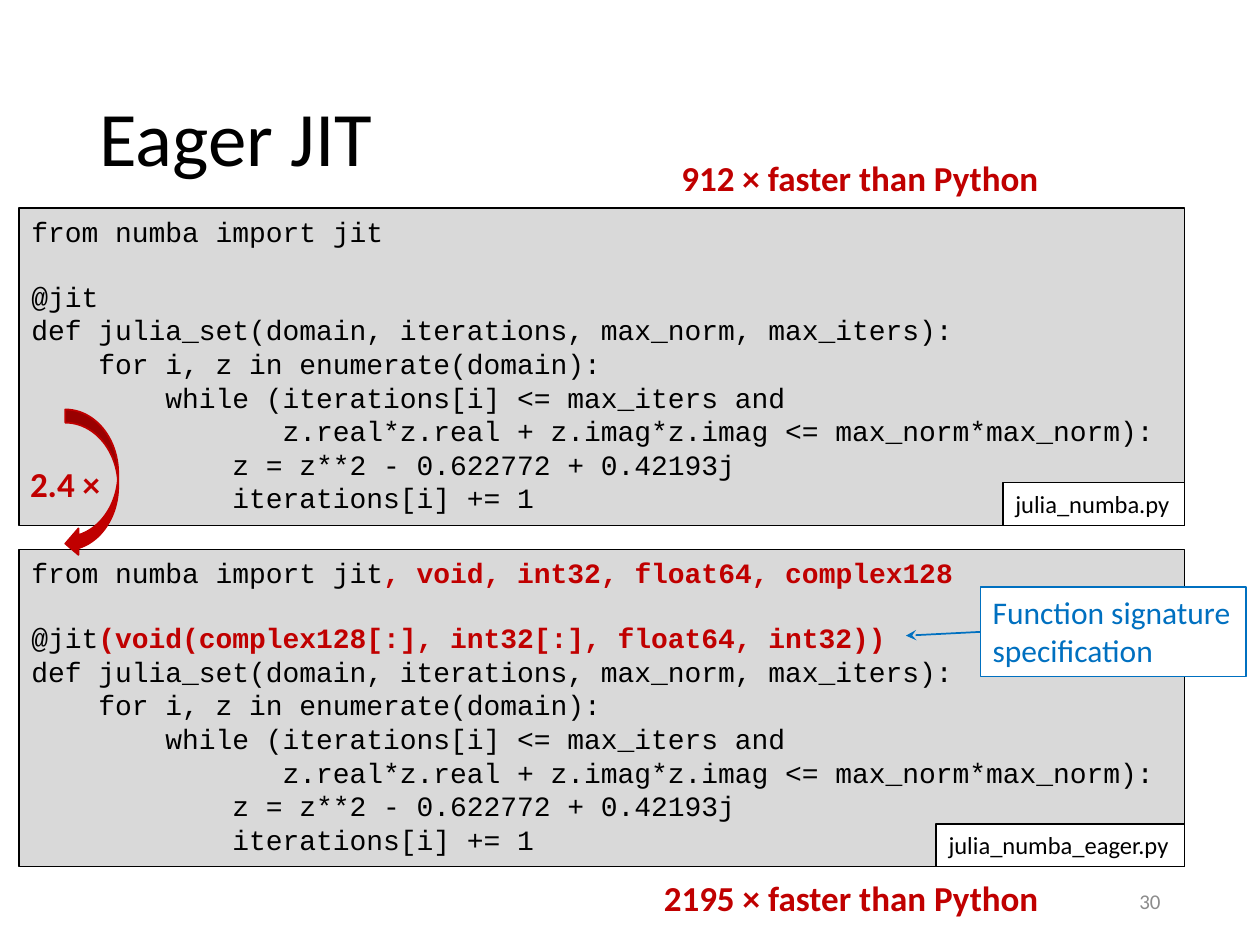
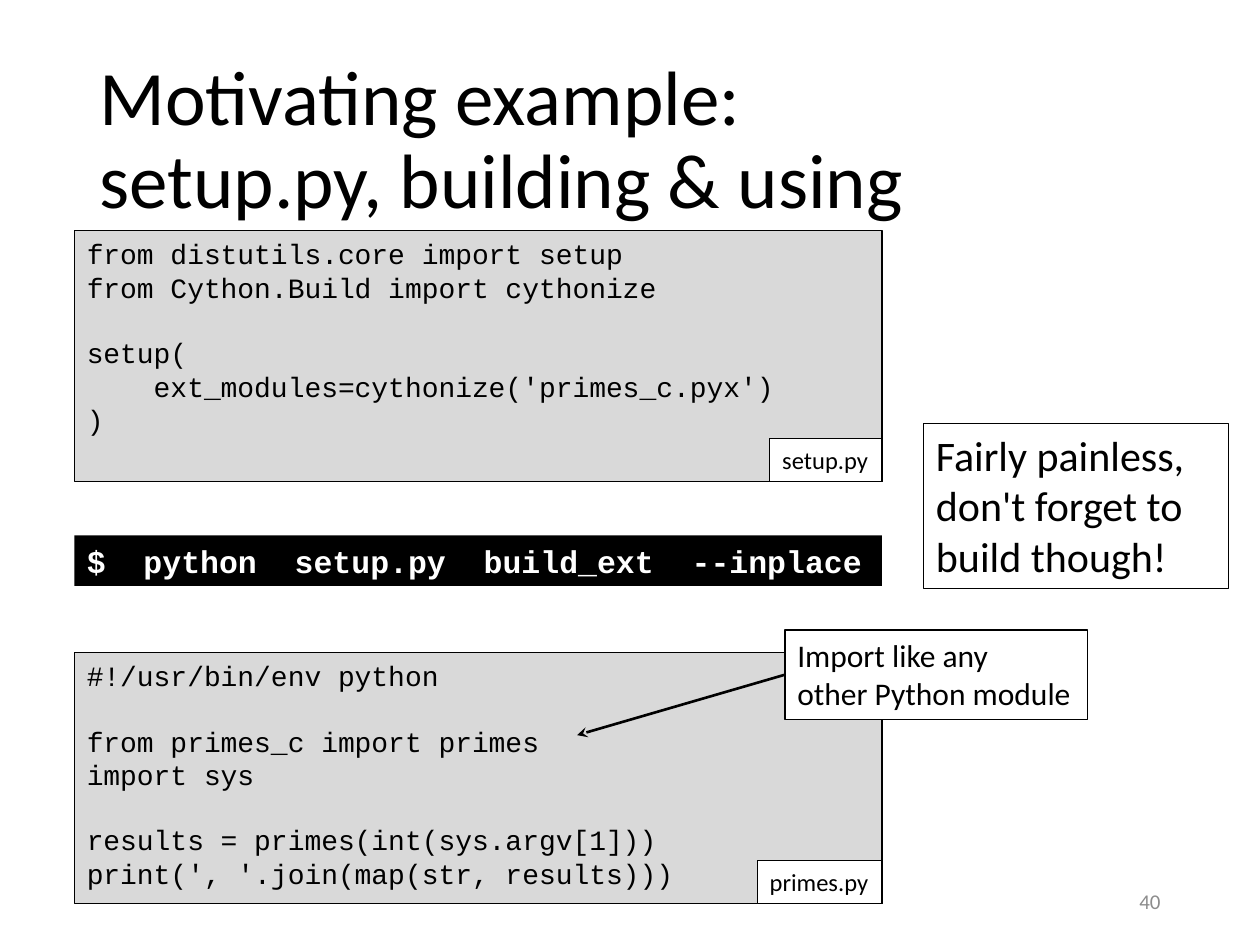
from dataclasses import dataclass

from lxml.etree import SubElement
from pptx import Presentation
from pptx.dml.color import RGBColor
from pptx.enum.shapes import MSO_CONNECTOR as LINE, MSO_SHAPE as SHAPE
from pptx.enum.text import MSO_ANCHOR as ANCHOR, MSO_AUTO_SIZE as FIT, PP_ALIGN as ALIGN
from pptx.oxml.ns import qn
from pptx.util import Inches, Pt

COLS, ROWS = 100, 75
CELL = Inches(0.1)


@dataclass(frozen=True)
class Theme:
    """Colours, fonts and type sizes of the deck."""
    ink: str = "000000"
    paper: str = "FFFFFF"
    panel: str = "D9D9D9"
    hot: str = "C00000"
    note: str = "0070C0"
    muted: str = "8C8C8C"
    sans: str = "Calibri"
    mono: str = "Courier New"
    title: int = 44
    remark: int = 24
    label: int = 20
    body: int = 18
    code: int = 16
    tab: int = 14
    number: int = 12
    mono_leading: float = 1.13


@dataclass(frozen=True)
class Box:
    """A rectangle in grid columns and rows."""
    x: float
    y: float
    w: float
    h: float

    def emu(self):
        """Give left, top, width and height as lengths."""
        return [round(v * CELL) for v in (self.x, self.y, self.w, self.h)]

    def corner(self, w, h):
        """Give a box of this size in the bottom right corner."""
        return Box(self.x + self.w - w, self.y + self.h - h, w, h)

    def sub(self, x, y, w, h):
        """Give the part at these shares of the box."""
        return Box(self.x + x * self.w, self.y + y * self.h, w * self.w, h * self.h)


T = Theme()
TITLE = Box(6.9, 4, 86.2, 14.5)
NUMBER = Box(70.6, 69.5, 22.5, 4)
TAB_H = 3.4

JULIA_BODY = [
    "def julia_set(domain, iterations, max_norm, max_iters):",
    "    for i, z in enumerate(domain):",
    "        while (iterations[i] <= max_iters and",
    "               z.real*z.real + z.imag*z.imag <= max_norm*max_norm):",
    "            z = z**2 - 0.622772 + 0.42193j",
    "            iterations[i] += 1",
]
LAZY = ["from numba import jit", "", "@jit", *JULIA_BODY]
EAGER = [
    ("from numba import jit", ", void, int32, float64, complex128"),
    "",
    ("@jit", "(void(complex128[:], int32[:], float64, int32))"),
    *JULIA_BODY,
]
SETUP = [
    "from distutils.core import setup",
    "from Cython.Build import cythonize",
    "",
    "setup(",
    "    ext_modules=cythonize('primes_c.pyx')",
    ")",
]
PRIMES = [
    "#!/usr/bin/env python",
    "",
    "from primes_c import primes",
    "import sys",
    "",
    "results = primes(int(sys.argv[1]))",
    "print(', '.join(map(str, results)))",
]


def rgb(value):
    """Turn a hex string into a colour."""
    return RGBColor.from_string(value)


def write(tf, lines, size=T.body, font=T.sans, color=T.ink, bold=False,
          align=ALIGN.LEFT, anchor=ANCHOR.TOP, spacing=None):
    """Write one paragraph per line; a pair ends in a highlighted run."""
    tf.word_wrap, tf.auto_size, tf.vertical_anchor = True, FIT.NONE, anchor
    tf.margin_right = Inches(0.05) if align == ALIGN.LEFT else Inches(0.1)
    p, gap = None, 0
    for line in lines:
        if not line:
            gap += size * T.mono_leading
            continue
        p = tf.add_paragraph() if p else tf.paragraphs[0]
        p.alignment, p.line_spacing = align, spacing
        p.space_before, gap = Pt(gap), 0
        plain, hot = (line, "") if isinstance(line, str) else line
        for text, ink, strong in ((plain, color, bold), (hot, T.hot, True)):
            for i, part in enumerate(text.split("\n")):
                if i:
                    p.add_line_break()
                if part:
                    r = p.add_run()
                    r.text = part
                    r.font.size, r.font.name, r.font.bold = Pt(size), font, strong
                    r.font.color.rgb = rgb(ink)


def block(shapes, box, fill=None, line=None, width=0.75, kind=SHAPE.RECTANGLE):
    """Add a flat preset shape."""
    sp = shapes.add_shape(kind, *box.emu())
    sp.shadow.inherit = False
    for paint, color in ((sp.fill, fill), (sp.line.fill, line)):
        if color:
            paint.solid()
            paint.fore_color.rgb = rgb(color)
        else:
            paint.background()
    if line:
        sp.line.width = Pt(width)
    return sp


def label(shapes, box, text, **fmt):
    """Add a plain text box."""
    write(shapes.add_textbox(*box.emu()).text_frame, [text], **fmt)


def arrow(shapes, start, end, color, width):
    """Add a straight line with a stealth head at its end."""
    ends = [round(v * CELL) for v in (*start, *end)]
    c = shapes.add_connector(LINE.STRAIGHT, *ends)
    c.line.color.rgb, c.line.width = rgb(color), Pt(width)
    SubElement(c.line._get_or_add_ln(), qn("a:tailEnd"), type="stealth")
    SubElement(c._element.spPr, qn("a:effectLst"))


def code_panel(s, box, lines, name, tab_w):
    """Place a listing with its file name in the bottom right corner."""
    shapes = s.shapes.add_group_shape().shapes
    panel = block(shapes, box, T.panel, T.ink)
    write(panel.text_frame, lines, size=T.code, font=T.mono)
    tab = block(shapes, box.corner(tab_w, TAB_H), T.paper, T.ink)
    write(tab.text_frame, [name], size=T.tab)


def callout(s, box, text, reach, drop, color=T.ink, width=1.5):
    """Place a note with an arrow leaving the middle of its left side."""
    shapes = s.shapes.add_group_shape().shapes
    sp = block(shapes, box, T.paper, color)
    write(sp.text_frame, [text], color=color)
    mid = box.y + box.h / 2
    arrow(shapes, (box.x, mid), (box.x - reach, mid + drop), color, width)


def gain(s, box, text):
    """Place a curved arrow with the speed-up beside it."""
    shapes = s.shapes.add_group_shape().shapes
    block(shapes, box.sub(0.45, 0, 0.5, 1), T.hot, T.hot, 1, SHAPE.CURVED_LEFT_ARROW)
    label(shapes, box.sub(0, 0.32, 1, 0.66), text, size=T.label, color=T.hot, bold=True)


def titled_slide(prs, title, number):
    """Add a slide with its title and number."""
    s = prs.slides.add_slide(prs.slide_layouts[5])
    sp = s.shapes.title
    sp.left, sp.top, sp.width, sp.height = TITLE.emu()
    write(sp.text_frame, [title], size=T.title, anchor=ANCHOR.MIDDLE, spacing=0.9)
    label(s.shapes, NUMBER, number, size=T.number, color=T.muted,
          align=ALIGN.RIGHT, anchor=ANCHOR.MIDDLE)
    return s


def eager_slide(prs):
    """Compare lazy and eager compilation."""
    s = titled_slide(prs, "Eager JIT", "30")
    listings = ((LAZY, "julia_numba.py", 14.4), (EAGER, "julia_numba_eager.py", 19.7))
    for i, (lines, name, tab_w) in enumerate(listings):
        code_panel(s, Box(1.5, 16.5 + 27.1 * i, 92.5, 25.2), lines, name, tab_w)
    callout(s, Box(77.8, 46.6, 21.1, 7.1), "Function signature\nspecification",
            5.9, 0.3, T.note, 1)
    for times, y, w in (("2195", 69.1, 32.1), ("912", 11.9, 30.7)):
        label(s.shapes, Box(83.8 - w, y, w, 4.4), f"{times} × faster than Python",
              size=T.label, color=T.hot, bold=True)
    gain(s, Box(1.4, 32.5, 8.4, 11.7), "2.4 ×")


def building_slide(prs):
    """Show the build script, the build command and the use of the module."""
    s = titled_slide(prs, "Motivating example:\nsetup.py, building & using", "40")
    listings = ((SETUP, "setup.py", 8.9, 18.3), (PRIMES, "primes.py", 9.9, 51.8))
    for lines, name, tab_w, y in listings:
        code_panel(s, Box(5.9, y, 64.1, 19.9), lines, name, tab_w)
    command = block(s.shapes, Box(5.9, 42.5, 64.1, 4), T.ink)
    write(command.text_frame, ["$  python  setup.py  build_ext  --inplace"],
          font=T.mono, color=T.paper, bold=True)
    remark = block(s.shapes, Box(73.3, 33.6, 24.2, 13.1), line=T.ink)
    write(remark.text_frame, ["Fairly painless,\ndon't forget to\nbuild though!"],
          size=T.remark)
    callout(s, Box(62.3, 50, 24, 7.1), "Import like any\nother Python module", 16.5, 4.8)


def main():
    """Build and save the deck."""
    prs = Presentation()
    prs.slide_width, prs.slide_height = COLS * CELL, ROWS * CELL
    eager_slide(prs)
    building_slide(prs)
    prs.save("out.pptx")


if __name__ == "__main__":
    main()
